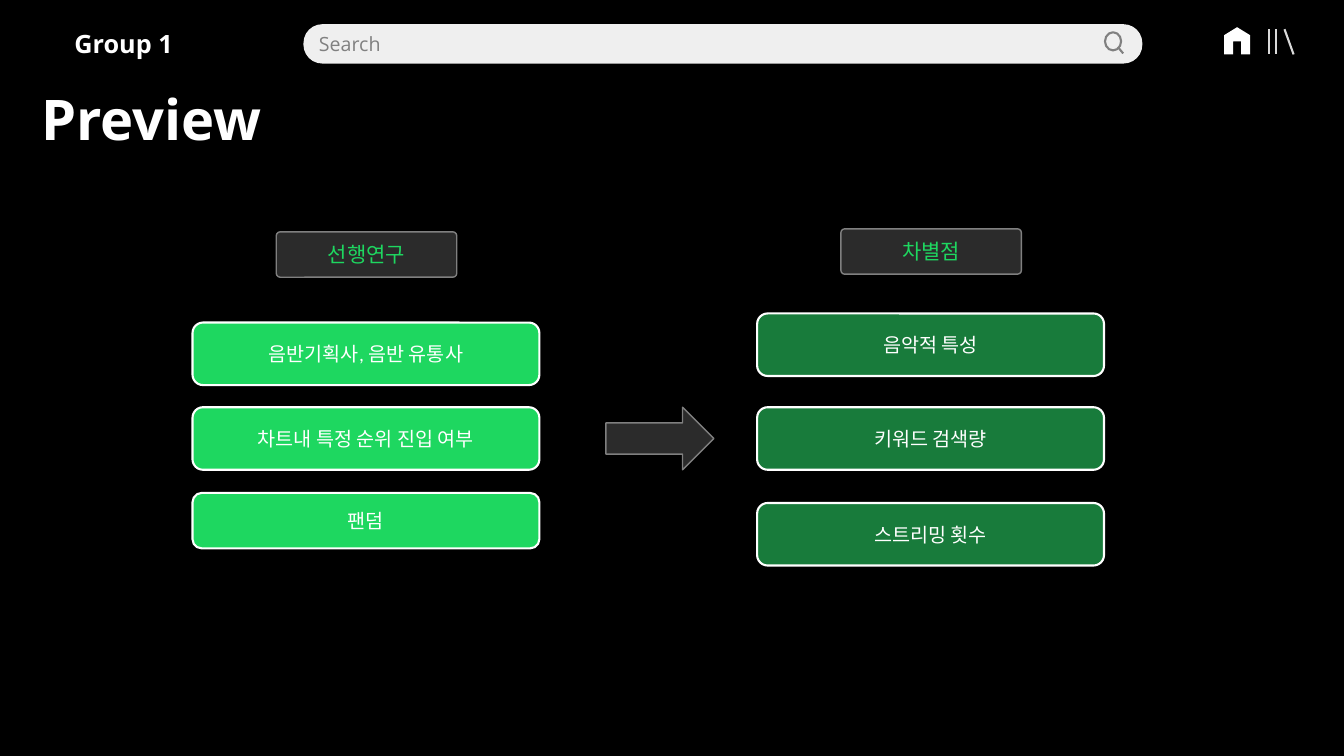
import pptx
import pptx.dml.color
import pptx.enum.shapes
import pptx.enum.text
import pptx.oxml
import pptx.oxml.ns
import pptx.util
from pptx.util import Inches

SHAPE = pptx.enum.shapes.MSO_SHAPE
ALIGN = pptx.enum.text.PP_ALIGN
WHITE, GREY, GREEN, DARK_GREEN = "FFFFFF", "808080", "1ED760", "187B3B"


def color(hex_text):
    return pptx.dml.color.RGBColor.from_string(hex_text)


class Deck:
    heading_font = "Open Sans"
    card_font = "Calibri"

    def __init__(self, width, height):
        self.prs = pptx.Presentation()
        self.prs.slide_width = Inches(width)
        self.prs.slide_height = Inches(height)

    def add_slide(self, background):
        self.s = self.prs.slides.add_slide(self.prs.slide_layouts[6])
        fill = self.s.background.fill
        fill.solid()
        fill.fore_color.rgb = color(background)

    def paint(self, sp, fill=None, line=None, weight=1.5, opacity=100):
        """Set fill, its opacity in percent, and outline."""
        sp.shadow.inherit = False
        if fill:
            sp.fill.solid()
            sp.fill.fore_color.rgb = color(fill)
            if opacity < 100:
                clr = sp._element.spPr.find(
                    "/".join(pptx.oxml.ns.qn(tag) for tag in ("a:solidFill", "a:srgbClr")))
                clr.append(pptx.oxml.parse_xml(
                    f'<a:alpha {pptx.oxml.ns.nsdecls("a")} val="{opacity * 1000}"/>'))
        else:
            sp.fill.background()
        if line:
            sp.line.color.rgb = color(line)
            sp.line.width = pptx.util.Pt(weight)
        else:
            sp.line.fill.background()

    def set_text(self, sp, text, size, font, ink, bold=False, align=ALIGN.LEFT):
        tf = sp.text_frame
        tf.text = text
        p = tf.paragraphs[0]
        p.alignment = align
        r = p.runs[0]
        r.font.size = pptx.util.Pt(size)
        r.font.name = font
        r.font.bold = bold
        r.font.color.rgb = color(ink)

    def text(self, x, y, w, h, text, size, wrap=True):
        sp = self.s.shapes.add_textbox(Inches(x), Inches(y), Inches(w), Inches(h))
        self.set_text(sp, text, size, self.heading_font, WHITE, bold=True)
        sp.text_frame.word_wrap = wrap
        sp.text_frame.auto_size = pptx.enum.text.MSO_AUTO_SIZE.SHAPE_TO_FIT_TEXT

    def shape(self, kind, x, y, w, h, corner=None, **style):
        sp = self.s.shapes.add_shape(kind, Inches(x), Inches(y), Inches(w), Inches(h))
        if corner is not None:
            sp.adjustments[0] = corner
        self.paint(sp, **style)
        sp.text_frame.vertical_anchor = pptx.enum.text.MSO_ANCHOR.MIDDLE
        return sp

    def card(self, x, y, h, text, fill):
        sp = self.shape(SHAPE.ROUNDED_RECTANGLE, x, y, 3.44, h, fill=fill, line=WHITE)
        self.set_text(sp, text, 14, self.card_font, WHITE, align=ALIGN.CENTER)

    def label(self, x, y, text):
        sp = self.shape(SHAPE.ROUNDED_RECTANGLE, x, y, 1.79, 0.45, 0.085,
                        fill=GREY, line=GREY, weight=1, opacity=34)
        self.set_text(sp, text, 15, self.heading_font, GREEN, align=ALIGN.CENTER)

    def search_bar(self, x, y, w, h, text):
        sp = self.shape(SHAPE.ROUNDED_RECTANGLE, x, y, w, h, 0.478,
                        fill="F7F7F7", opacity=97)
        self.set_text(sp, text, 14, self.heading_font, GREY)

    def line(self, x1, y1, x2, y2, ink):
        cxn = self.s.shapes.add_connector(
            pptx.enum.shapes.MSO_CONNECTOR.STRAIGHT,
            Inches(x1), Inches(y1), Inches(x2), Inches(y2))
        cxn.line.color.rgb = color(ink)
        cxn.line.width = pptx.util.Pt(1.5)
        cxn._element.spPr.append(pptx.oxml.parse_xml(
            f'<a:effectLst {pptx.oxml.ns.nsdecls("a")}/>'))

    def outline(self, points, fill):
        start, *rest = [(Inches(x), Inches(y)) for x, y in points]
        builder = self.s.shapes.build_freeform(*start)
        builder.add_line_segments(rest, close=True)
        self.paint(builder.convert_to_shape(), fill=fill)


def main():
    deck = Deck(13.33, 7.5)
    deck.add_slide("000000")

    deck.text(0.64, 0.23, 1.18, 0.4, "Group 1", 18, wrap=False)
    home = [(12.27, 0.27), (12.4, 0.35), (12.4, 0.54), (12.31, 0.54), (12.31, 0.41),
            (12.23, 0.41), (12.23, 0.54), (12.14, 0.54), (12.14, 0.35)]
    deck.outline(home, WHITE)
    for top_x, bottom_x in [(12.59, 12.59), (12.66, 12.66), (12.74, 12.83)]:
        deck.line(top_x, 0.29, bottom_x, 0.54, "D9D9D9")

    deck.search_bar(3.01, 0.24, 8.32, 0.39, "Search")
    deck.shape(SHAPE.OVAL, 10.96, 0.32, 0.16, 0.18, line=GREY)
    deck.line(11.09, 0.47, 11.14, 0.53, GREY)

    deck.text(0.31, 0.79, 4.91, 0.77, "Preview", 40)

    columns = [
        (1.91, 2.3, "선행연구", GREEN, [
            (3.2, 0.62, "음반기획사, 음반 유통사"),
            (4.04, 0.62, "차트내 특정 순위 진입 여부"),
            (4.89, 0.55, "팬덤")]),
        (7.51, 2.27, "차별점", DARK_GREEN, [
            (3.11, 0.62, "음악적 특성"),
            (4.04, 0.62, "키워드 검색량"),
            (4.99, 0.62, "스트리밍 횟수")]),
    ]
    for x, label_y, title, fill, cards in columns:
        deck.label(x + 0.83, label_y, title)
        for y, h, text in cards:
            deck.card(x, y, h, text, fill)
    deck.shape(SHAPE.RIGHT_ARROW, 6.01, 4.04, 1.07, 0.62,
               fill="2B2B2B", line="7F7F7F", weight=1)

    deck.prs.save("out.pptx")


if __name__ == "__main__":
    main()
